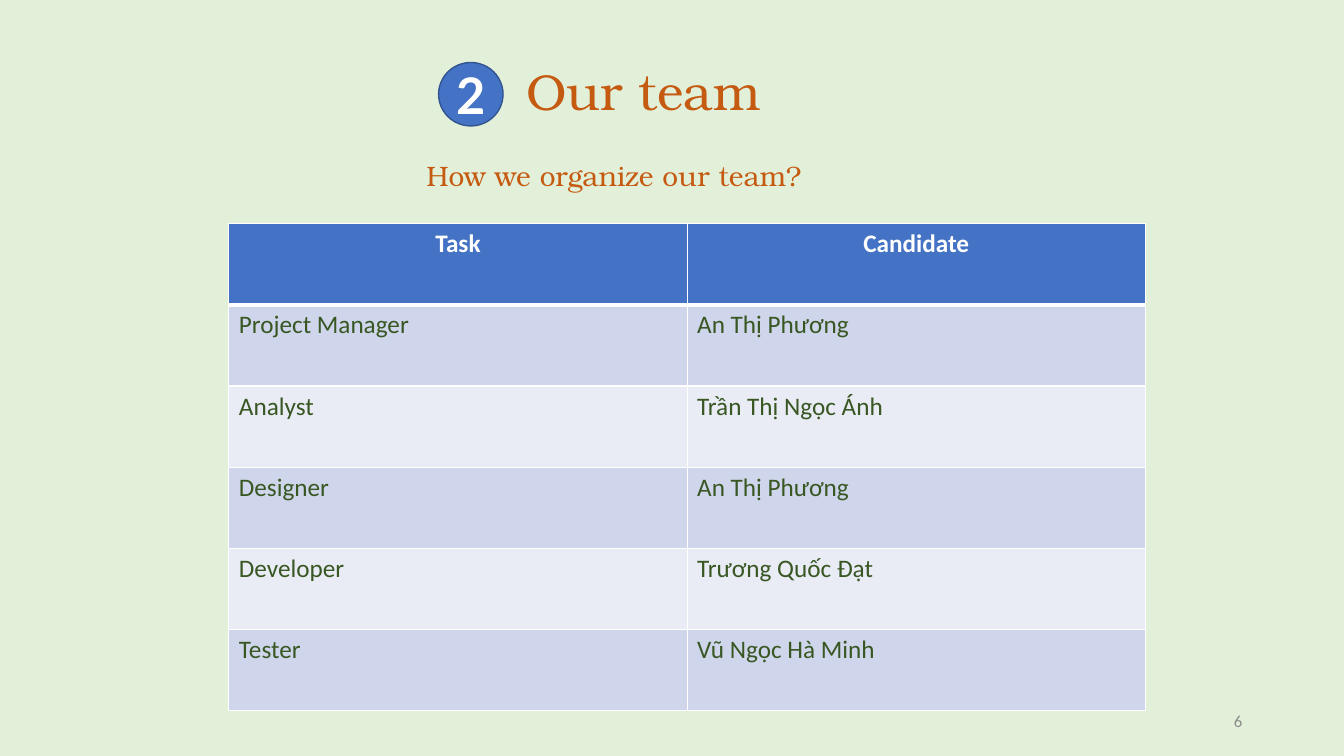
from dataclasses import dataclass

from lxml.etree import SubElement
from pptx import Presentation
from pptx.dml.color import RGBColor
from pptx.enum.shapes import MSO_SHAPE
from pptx.enum.text import MSO_ANCHOR, PP_ALIGN
from pptx.oxml.ns import qn
from pptx.util import Inches, Pt


@dataclass(frozen=True)
class Theme:
    background: str = "E2F0D9"
    accent: str = "4472C4"
    outline: str = "325491"
    heading: str = "C55A11"
    body: str = "385723"
    muted: str = "8C8C8C"
    white: str = "FFFFFF"
    bands: tuple = ("CFD5EA", "E9EBF5")
    heading_font: str = "TeX Gyre Bonum"
    badge_font: str = "Lato"
    body_font: str = "Calibri"
    title_size: int = 36
    subtitle_size: int = 20
    table_size: int = 18
    number_size: int = 12


class TeamSlide:
    def __init__(self, deck, theme):
        self.theme = theme
        self.width, self.height = deck.slide_width, deck.slide_height
        self.slide = deck.slides.add_slide(deck.slide_layouts[6])
        self.paint(self.slide.background.fill, theme.background)

    def paint(self, fill, color):
        fill.solid()
        fill.fore_color.rgb = RGBColor.from_string(color)

    def place(self, left, top, width, height):
        return (round(self.width * left / 100), round(self.height * top / 100),
                round(self.width * width / 100), round(self.height * height / 100))

    def add_text(self, frame, text, font, size, color, align=PP_ALIGN.LEFT, bold=False):
        paragraph = frame.paragraphs[0]
        paragraph.alignment = align
        run = paragraph.add_run()
        run.text = text
        run.font.name = font
        run.font.size = Pt(size)
        run.font.bold = bold
        run.font.color.rgb = RGBColor.from_string(color)

    def badge(self, share, text):
        theme = self.theme
        circle = self.slide.shapes.add_shape(MSO_SHAPE.OVAL, *self.place(*share))
        circle.shadow.inherit = False
        self.paint(circle.fill, theme.accent)
        circle.line.color.rgb = RGBColor.from_string(theme.outline)
        circle.line.width = Pt(1)
        frame = circle.text_frame
        frame.margin_left = frame.margin_right = frame.margin_top = frame.margin_bottom = 0
        frame.vertical_anchor = MSO_ANCHOR.MIDDLE
        self.add_text(frame, text, theme.badge_font, theme.title_size, theme.white,
                      PP_ALIGN.CENTER, True)

    def label(self, share, text, font, size, color, align=PP_ALIGN.LEFT,
              anchor=MSO_ANCHOR.TOP, wrap=False):
        frame = self.slide.shapes.add_textbox(*self.place(*share)).text_frame
        frame.word_wrap = wrap
        frame.vertical_anchor = anchor
        self.add_text(frame, text, font, size, color, align)

    def border(self, cell, side, points):
        line = SubElement(cell._tc.get_or_add_tcPr(), qn(f"a:ln{side}"), w=str(Pt(points)))
        fill = SubElement(line, qn("a:solidFill"))
        SubElement(fill, qn("a:srgbClr"), val=self.theme.white)

    def table(self, share, rows):
        theme = self.theme
        table = self.slide.shapes.add_table(len(rows), len(rows[0]), *self.place(*share)).table
        for row, texts in enumerate(rows):
            header = row == 0
            background = theme.accent if header else theme.bands[(row - 1) % 2]
            color = theme.white if header else theme.body
            align = PP_ALIGN.CENTER if header else PP_ALIGN.LEFT
            weights = {"L": 1, "R": 1, "T": 3 if row == 1 else 1, "B": 3 if header else 1}
            for column, text in enumerate(texts):
                cell = table.cell(row, column)
                for side, points in weights.items():
                    self.border(cell, side, points)
                self.paint(cell.fill, background)
                self.add_text(cell.text_frame, text, theme.body_font, theme.table_size,
                              color, align, header)


def main():
    deck = Presentation()
    deck.slide_width, deck.slide_height = Inches(13.33), Inches(7.5)
    theme = Theme()
    team = TeamSlide(deck, theme)
    team.badge((32.63, 8.27, 4.8, 8.4), "2")
    team.label((38.4, 7.33, 19.13, 9.47), "Our team",
               theme.heading_font, theme.title_size, theme.heading)
    team.label((30.98, 20.27, 29.78, 5.87), "How we organize our team?",
               theme.heading_font, theme.subtitle_size, theme.heading)
    team.label((70.67, 92.67, 22.5, 5.33), "6", theme.body_font, theme.number_size,
               theme.muted, PP_ALIGN.RIGHT, MSO_ANCHOR.MIDDLE, True)
    team.table((17.03, 29.6, 68.2, 64.4), [
        ("Task", "Candidate"),
        ("Project Manager", "An Thị Phương"),
        ("Analyst", "Trần Thị Ngọc Ánh"),
        ("Designer", "An Thị Phương"),
        ("Developer", "Trương Quốc Đạt"),
        ("Tester", "Vũ Ngọc Hà Minh"),
    ])
    deck.save("out.pptx")


if __name__ == "__main__":
    main()
